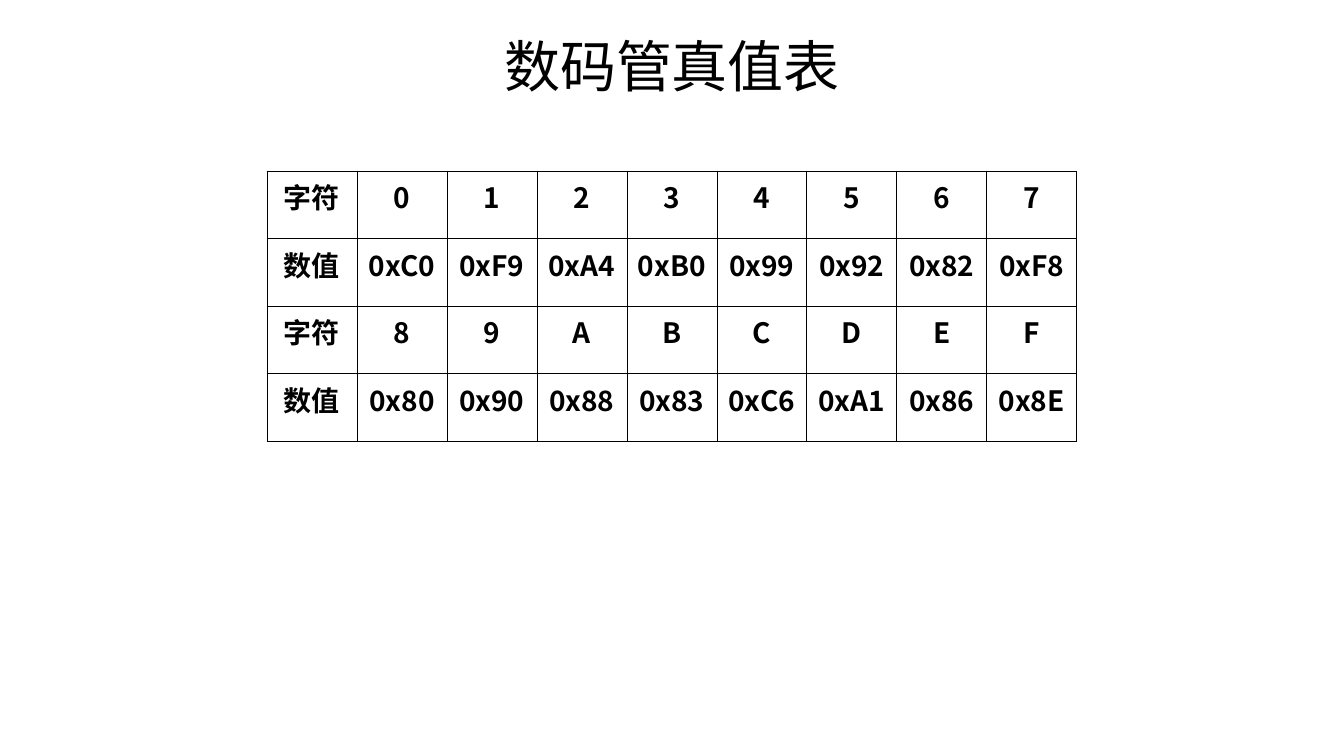
from lxml.etree import SubElement
from pptx import Presentation
from pptx.dml.color import RGBColor
from pptx.enum.text import MSO_ANCHOR as Anchor, PP_ALIGN as Align
from pptx.oxml.ns import qn
from pptx.util import Emu, Pt

SLIDE_W, SLIDE_H = 1344, 756
EMU_PER_PX = 12192000 / SLIDE_W


def px(n):
    return Emu(round(n * EMU_PER_PX))


def color(hex_text):
    return RGBColor.from_string(hex_text)


class Deck:
    font = "Noto Sans CJK SC"
    ink = "000000"

    def __init__(self):
        self.prs = Presentation()
        self.prs.slide_width, self.prs.slide_height = px(SLIDE_W), px(SLIDE_H)
        self.s = self.prs.slides.add_slide(self.prs.slide_layouts[5])

    def run(self, p, text, size, bold=False):
        p.alignment = Align.CENTER
        r = p.add_run()
        r.text = text
        r.font.size, r.font.bold = Pt(size), bold
        r.font.color.rgb = color(self.ink)
        r.font.name = self.font
        SubElement(r.font._element, qn("a:ea"), typeface=self.font)

    def title(self, text, x, y, w, h, size):
        sp = self.s.shapes.title
        sp.left, sp.top, sp.width, sp.height = px(x), px(y), px(w), px(h)
        tf = sp.text_frame
        tf.word_wrap = True
        tf.vertical_anchor = Anchor.MIDDLE
        p = tf.paragraphs[0]
        p.line_spacing = 0.9
        self.run(p, text, size)

    def border(self, cell, width):
        tc_pr = cell._tc.get_or_add_tcPr()
        for i, side in enumerate(("lnL", "lnR", "lnT", "lnB")):
            ln = tc_pr.makeelement(qn(f"a:{side}"), {"w": str(Pt(width))})
            fill = SubElement(ln, qn("a:solidFill"))
            SubElement(fill, qn("a:srgbClr"), val=self.ink)
            tc_pr.insert(i, ln)

    def table(self, rows, x, y, w, h, size):
        n_rows, n_cols = len(rows), len(rows[0])
        frame = self.s.shapes.add_table(n_rows, n_cols, px(x), px(y), px(w), px(h))
        table = frame.table
        table.first_row = table.horz_banding = False
        for col in table.columns:
            col.width = px(w / n_cols)
        for row, texts in zip(table.rows, rows):
            row.height = px(h / n_rows)
            for cell, text in zip(row.cells, texts):
                cell.fill.background()
                cell.margin_left = cell.margin_right = px(5)
                self.border(cell, 0.5)
                self.run(cell.text_frame.paragraphs[0], text, size, bold=True)


def main():
    deck = Deck()
    deck.title("数码管真值表", 67, 30, 1210, 78, 40)
    rows = [
        ["字符", *"01234567"],
        ["数值", "0xC0", "0xF9", "0xA4", "0xB0", "0x99", "0x92", "0x82", "0xF8"],
        ["字符", *"89ABCDEF"],
        ["数值", "0x80", "0x90", "0x88", "0x83", "0xC6", "0xA1", "0x86", "0x8E"],
    ]
    deck.table(rows, 267, 171, 810, 270, 20)
    deck.prs.save("out.pptx")


if __name__ == "__main__":
    main()
